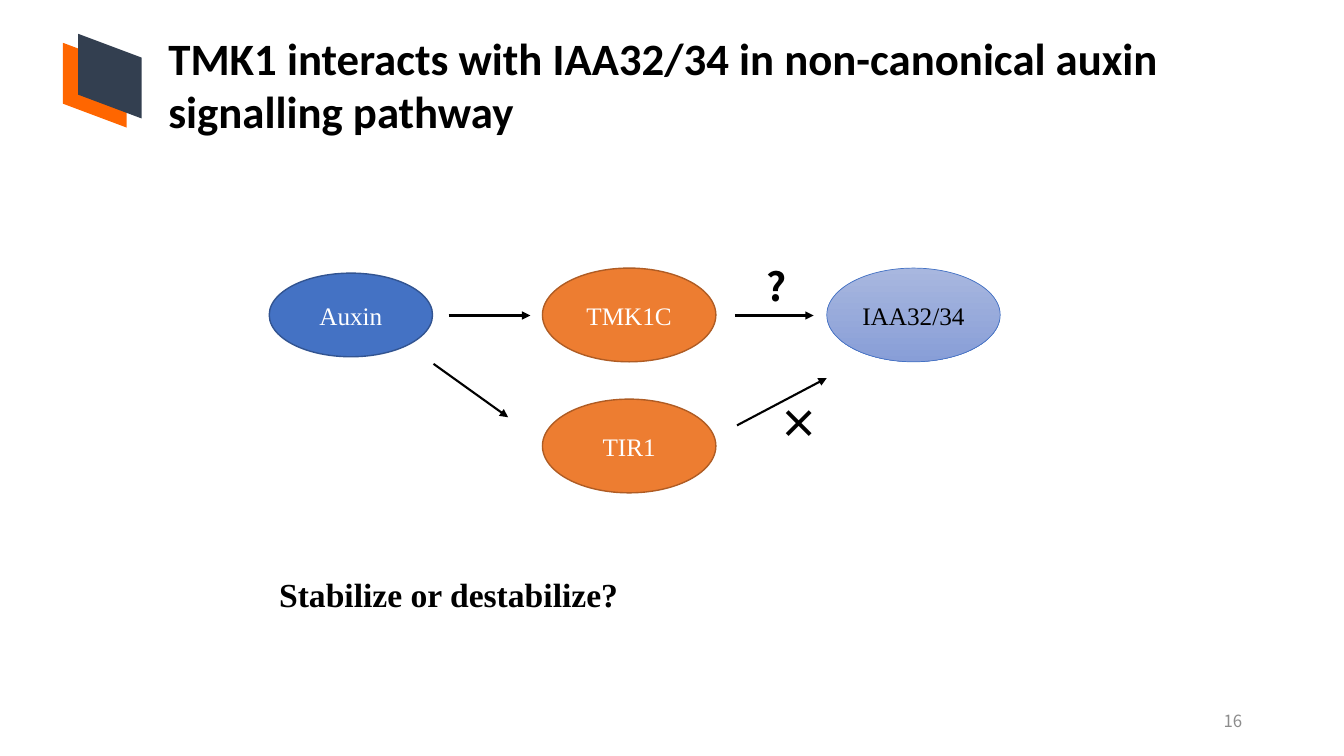
"""Build the slide on TMK1 and IAA32/34 in the non-canonical auxin pathway."""
from lxml.etree import SubElement
from pptx import Presentation
from pptx.dml.color import RGBColor
from pptx.enum.shapes import MSO_CONNECTOR, MSO_SHAPE
from pptx.enum.text import MSO_ANCHOR, MSO_AUTO_SIZE, PP_ALIGN
from pptx.oxml.ns import qn
from pptx.util import Pt

PX = 9144
BLACK = RGBColor(0x00, 0x00, 0x00)
WHITE = RGBColor(0xFF, 0xFF, 0xFF)
GREY = RGBColor(0x8C, 0x8C, 0x8C)
BRIGHT_ORANGE = RGBColor(0xFF, 0x66, 0x00)
SLATE = RGBColor(0x33, 0x3F, 0x50)
BLUE = RGBColor(0x44, 0x72, 0xC4)
DARK_BLUE = RGBColor(0x32, 0x54, 0x91)
ORANGE = RGBColor(0xED, 0x7D, 0x31)
DARK_ORANGE = RGBColor(0xAF, 0x5C, 0x24)
PALE_BLUE = RGBColor(0xA8, 0xB7, 0xDF)
SOFT_BLUE = RGBColor(0x88, 0x9E, 0xD7)
SERIF = "Times New Roman"
SANS = "Noto Sans CJK SC"


def box(left, top, width, height):
    """Turn a frame in px into EMU."""
    return [value * PX for value in (left, top, width, height)]


def write(shape, text, font_name, size, color, bold=False, align=PP_ALIGN.LEFT, anchor=MSO_ANCHOR.TOP, wrap=True):
    """Put one formatted run into a shape and return its paragraph."""
    frame = shape.text_frame
    frame.word_wrap = wrap
    frame.vertical_anchor = anchor
    paragraph = frame.paragraphs[0]
    paragraph.alignment = align
    run = paragraph.add_run()
    run.text = text
    run.font.name = font_name
    run.font.size = Pt(size)
    run.font.bold = bold
    run.font.color.rgb = color
    SubElement(run.font._element, qn("a:ea")).set("typeface", font_name)
    return paragraph


presentation = Presentation()
presentation.slide_width = 1333 * PX
presentation.slide_height = 750 * PX
slide = presentation.slides.add_slide(presentation.slide_layouts[5])

title = slide.shapes.title
title.left, title.top, title.width, title.height = box(157, 25, 1141, 118)
write(title, "TMK1 interacts with IAA32/34 in non-canonical auxin signalling pathway", "Calibri", 32, BLACK, True)
title.text_frame.auto_size = MSO_AUTO_SIZE.NONE

emblem = slide.shapes.add_group_shape()
for left, top, color in [(52, 53, BRIGHT_ORANGE), (67, 44, SLATE)]:
    panel = emblem.shapes.add_shape(MSO_SHAPE.PARALLELOGRAM, *box(left, top, 84, 63))
    panel.adjustments[0] = 0.375
    panel.rotation = 270
    panel.shadow.inherit = False
    panel.fill.solid()
    panel.fill.fore_color.rgb = color
    panel.line.fill.background()

proteins = [
    ("Auxin", (267, 271, 162, 83), [BLUE], DARK_BLUE, 1, WHITE),
    ("TMK1C", (538, 266, 172, 93), [ORANGE], DARK_ORANGE, 1, WHITE),
    ("TIR1", (538, 396, 172, 93), [ORANGE], DARK_ORANGE, 1, WHITE),
    ("IAA32/34", (820, 266, 172, 93), [PALE_BLUE, SOFT_BLUE], BLUE, 0.5, BLACK),
]
for name, frame, fills, outline, line_width, text_color in proteins:
    oval = slide.shapes.add_shape(MSO_SHAPE.OVAL, *box(*frame))
    oval.shadow.inherit = False
    if len(fills) == 1:
        oval.fill.solid()
        oval.fill.fore_color.rgb = fills[0]
    else:
        oval.fill.gradient()
        oval.fill.gradient_angle = 270
        for stop, color in zip(oval.fill.gradient_stops, fills):
            stop.color.rgb = color
    oval.line.color.rgb = outline
    oval.line.width = Pt(line_width)
    write(oval, name, SERIF, 18, text_color, align=PP_ALIGN.CENTER, anchor=MSO_ANCHOR.MIDDLE)

for ends in [(445, 313, 526, 313), (729, 313, 807, 313), (430, 361, 504, 414), (731, 422, 820, 375)]:
    arrow = slide.shapes.add_connector(MSO_CONNECTOR.STRAIGHT, *box(*ends))
    arrow.line.color.rgb = BLACK
    arrow.line.width = Pt(1.5)
    SubElement(arrow.line._get_or_add_ln(), qn("a:tailEnd")).set("type", "triangle")
    SubElement(arrow._element.spPr, qn("a:effectLst"))

for mark, frame in [("?", (750, 255, 38, 57)), ("×", (763, 391, 48, 57))]:
    write(slide.shapes.add_textbox(*box(*frame)), mark, SANS, 28, BLACK, True, wrap=False)

question = slide.shapes.add_textbox(*box(267, 544, 387, 63))
write(question, "Stabilize or destabilize?", SERIF, 24, BLACK, True).line_spacing = 1.5

page_number = slide.shapes.add_textbox(*box(942, 695, 300, 40))
write(page_number, "16", SANS, 12, GREY, align=PP_ALIGN.RIGHT, anchor=MSO_ANCHOR.MIDDLE)

presentation.save("out.pptx")
